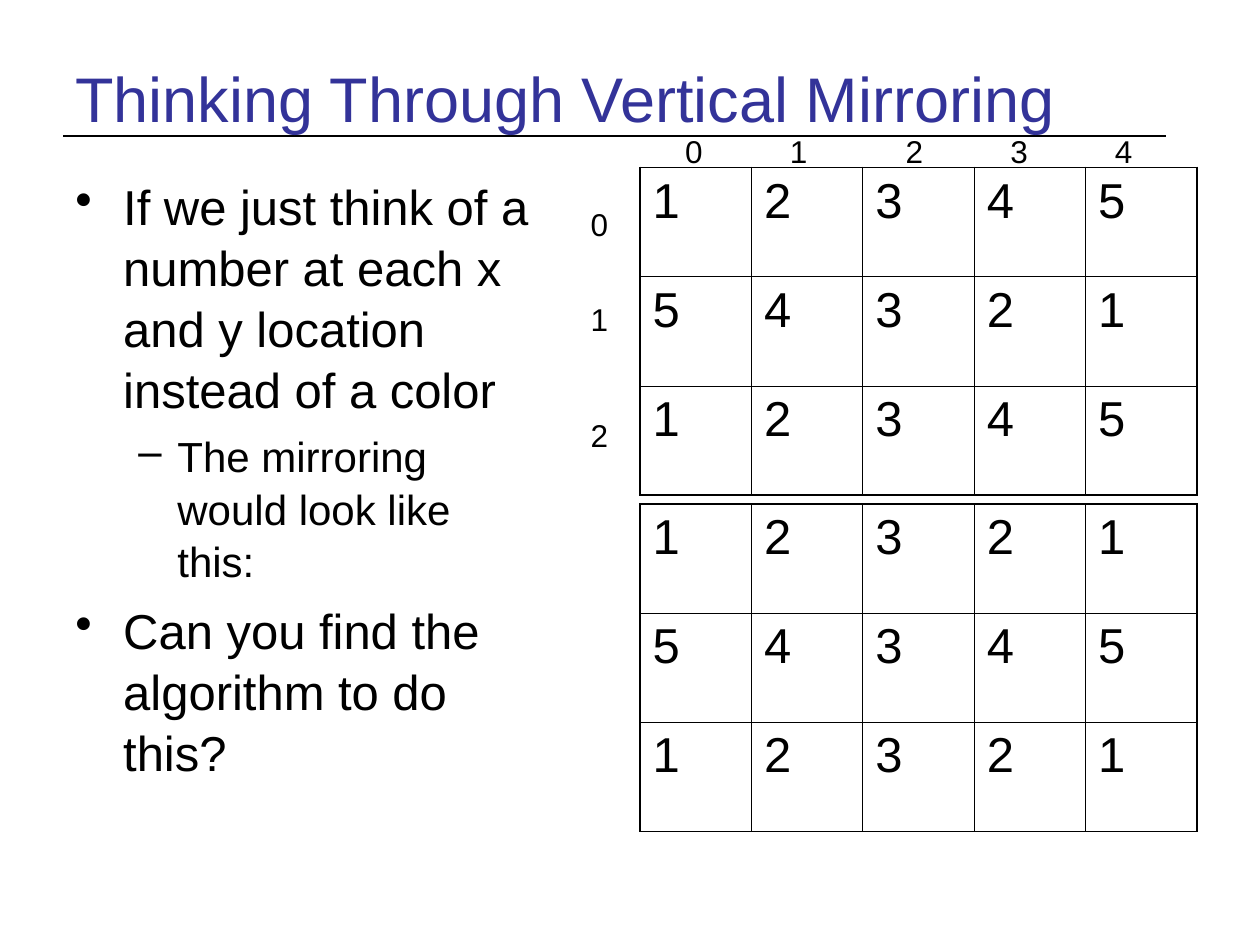
from dataclasses import dataclass

from lxml import etree
from pptx import Presentation
from pptx.dml.color import RGBColor
from pptx.enum.shapes import MSO_CONNECTOR
from pptx.enum.text import MSO_ANCHOR
from pptx.oxml.ns import qn
from pptx.util import Inches, Pt

STRAIGHT = MSO_CONNECTOR.STRAIGHT
TOP, MIDDLE = MSO_ANCHOR.TOP, MSO_ANCHOR.MIDDLE

COLORS = {"title": "333399", "ink": "000000"}
INNER_BORDER, OUTER_BORDER = 0.45, 1.08
GRID_LEFT, GRID_WIDTH, GRID_HEIGHT = 5.08, 4.42, 2.6
LABEL_WIDTH, LABEL_HEIGHT = 0.34, 0.4


@dataclass(frozen=True)
class Bullet:
    text: str
    size: int
    mark: str
    indent: float
    hanging: float
    space_before: int


@dataclass(frozen=True)
class Label:
    text: str
    left: float
    top: float


@dataclass(frozen=True)
class Grid:
    top: float
    rows: list[list[int]]


def apply_format(target, values: dict) -> None:
    for attribute, value in values.items():
        setattr(target, attribute, value)


def style_font(paragraph, size: int, color: str = "ink") -> None:
    apply_format(paragraph.font, {"name": "Arial", "size": Pt(size)})
    paragraph.font.color.rgb = RGBColor.from_string(COLORS[color])


def add_text_frame(slide, left: float, top: float, width: float, height: float,
                   wrap: bool = True, anchor=TOP):
    box = slide.shapes.add_textbox(Inches(left), Inches(top), Inches(width), Inches(height))
    apply_format(box.text_frame, {"word_wrap": wrap, "vertical_anchor": anchor})
    return box.text_frame


def add_title(slide, text: str) -> None:
    rule = slide.shapes.add_connector(
        STRAIGHT, Inches(0.5), Inches(1.08), Inches(9.25), Inches(1.08))
    rule.line.color.rgb = RGBColor.from_string(COLORS["ink"])
    rule.line.width = Pt(1.5)
    etree.SubElement(rule.element.spPr, qn("a:effectLst"))
    heading = add_text_frame(slide, 0.5, 0.3, 9, 0.95, anchor=MIDDLE).paragraphs[0]
    heading.text = text
    style_font(heading, 36, "title")


def add_bullets(slide, bullets: list[Bullet]) -> None:
    frame = add_text_frame(slide, 0.5, 1.33, 3.83, 5.37)
    for index, bullet in enumerate(bullets):
        paragraph = frame.add_paragraph() if index else frame.paragraphs[0]
        paragraph.text = bullet.text
        paragraph.line_spacing = 1.04
        if index:
            paragraph.space_before = Pt(bullet.space_before)
        properties = paragraph._p.get_or_add_pPr()
        properties.set("marL", str(Inches(bullet.indent)))
        properties.set("indent", str(-Inches(bullet.hanging)))
        etree.SubElement(properties, qn("a:buChar"), char=bullet.mark)
        style_font(paragraph, bullet.size)


def add_label(slide, label: Label) -> None:
    frame = add_text_frame(slide, label.left, label.top, LABEL_WIDTH, LABEL_HEIGHT, wrap=False)
    frame.paragraphs[0].text = label.text
    style_font(frame.paragraphs[0], 18)


def add_border(cell, side: str, width: float) -> None:
    border = etree.SubElement(
        cell._tc.get_or_add_tcPr(), qn(f"a:ln{side}"), w=str(Pt(width)))
    fill = etree.SubElement(border, qn("a:solidFill"))
    etree.SubElement(fill, qn("a:srgbClr"), val=COLORS["ink"])


def add_grid(slide, grid: Grid) -> None:
    row_count, column_count = len(grid.rows), len(grid.rows[0])
    table = slide.shapes.add_table(
        row_count, column_count, Inches(GRID_LEFT), Inches(grid.top),
        Inches(GRID_WIDTH), Inches(GRID_HEIGHT)).table
    apply_format(table, {"first_row": False, "horz_banding": False})
    for y, row in enumerate(grid.rows):
        for x, number in enumerate(row):
            cell = table.cell(y, x)
            cell.text = str(number)
            style_font(cell.text_frame.paragraphs[0], 28)
            on_edge = {"L": x == 0, "R": x == column_count - 1,
                       "T": y == 0, "B": y == row_count - 1}
            for side, outer in on_edge.items():
                add_border(cell, side, OUTER_BORDER if outer else INNER_BORDER)
            cell.fill.background()


def mirror(row: list[int]) -> list[int]:
    half = len(row) // 2
    return row[:half + 1] + row[:half][::-1]


def main() -> None:
    presentation = Presentation()
    apply_format(presentation, {"slide_width": Inches(10), "slide_height": Inches(7.5)})
    slide = presentation.slides.add_slide(presentation.slide_layouts[6])

    add_title(slide, "Thinking Through Vertical Mirroring")
    add_bullets(slide, [
        Bullet("If we just think of a number at each x and y location instead of a color",
               28, "•", 0.38, 0.38, 7),
        Bullet("The mirroring would look like this:", 24, "–", 0.81, 0.31, 6),
        Bullet("Can you find the algorithm to do this?", 28, "•", 0.38, 0.38, 7),
    ])

    numbers = [[1, 2, 3, 4, 5], [5, 4, 3, 2, 1], [1, 2, 3, 4, 5]]
    add_grid(slide, Grid(1.33, numbers))
    add_grid(slide, Grid(4, [mirror(row) for row in numbers]))

    column_lefts = [5.34, 6.17, 7.09, 7.92, 8.75]
    row_tops = [1.58, 2.33, 3.25]
    labels = [Label(str(x), left, 1) for x, left in enumerate(column_lefts)]
    labels += [Label(str(y), 4.59, top) for y, top in enumerate(row_tops)]
    for label in labels:
        add_label(slide, label)

    presentation.save("out.pptx")


if __name__ == "__main__":
    main()
